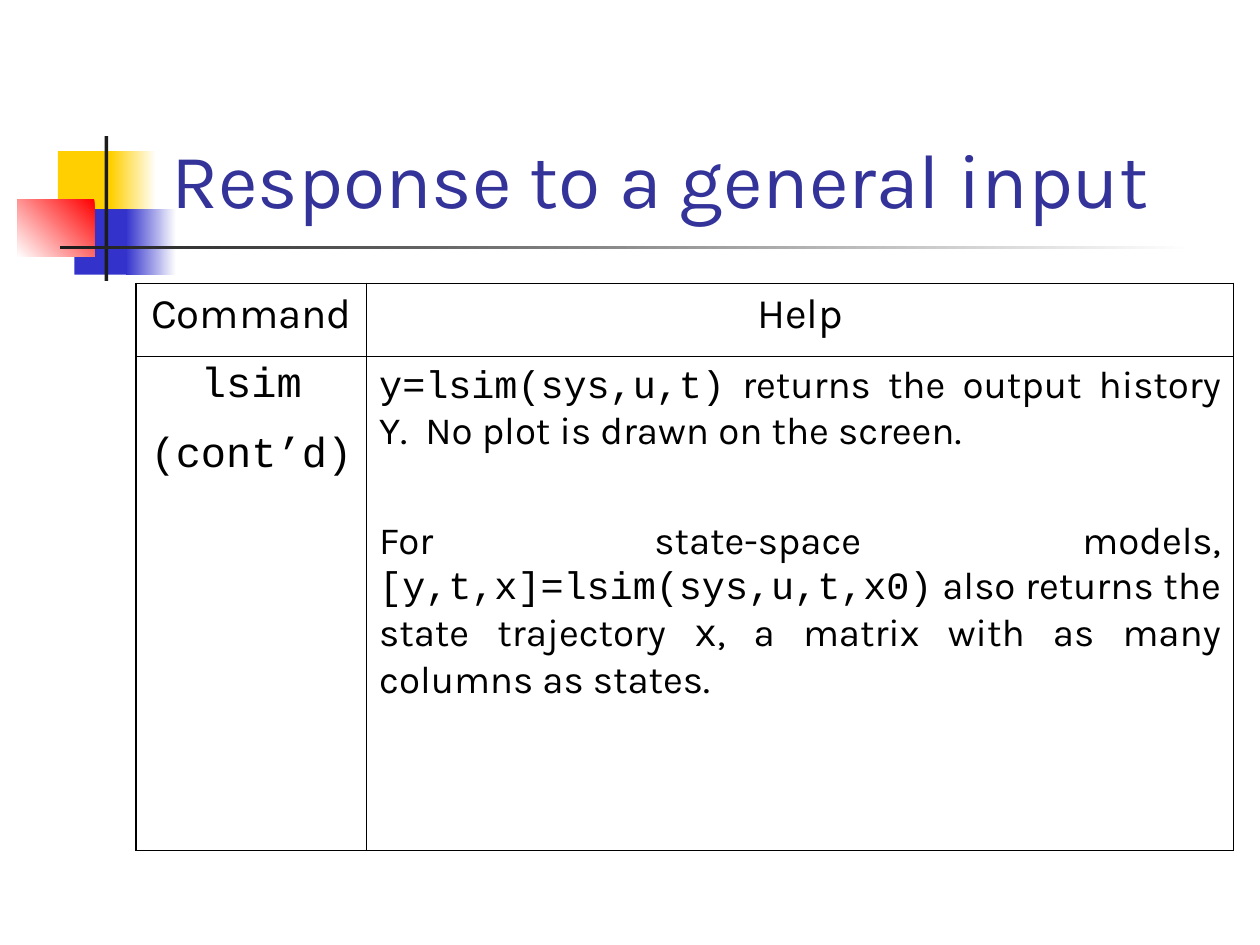
from lxml import etree
from pptx import Presentation
from pptx.dml.color import RGBColor
from pptx.enum import shapes, text
from pptx.oxml.ns import qn
from pptx.util import Inches, Pt

WHITE = RGBColor(0xFF, 0xFF, 0xFF)
BLACK = RGBColor(0x00, 0x00, 0x00)
INK = RGBColor(0x1C, 0x1C, 0x1C)
GOLD = RGBColor(0xFF, 0xCF, 0x01)
BLUE = RGBColor(0x33, 0x33, 0xCC)
NAVY = RGBColor(0x33, 0x33, 0x99)
RED = RGBColor(0xFF, 0x00, 0x00)

SANS, MONO = "Karla", "Courier New"
COLS, ROWS = 100, 75
THICK, THIN = 1.08, 0.45
MID, BOTH = text.PP_ALIGN.CENTER, text.PP_ALIGN.JUSTIFY


class Deck:
    """Holds the style and the current slide; lengths are grid columns and rows."""

    def __init__(self):
        self.prs = Presentation()
        self.prs.slide_width, self.prs.slide_height = Inches(10), Inches(7.5)
        self.slide = self.prs.slides.add_slide(self.prs.slide_layouts[5])

    def x(self, cols):
        return round(self.prs.slide_width * cols / COLS)

    def y(self, rows):
        return round(self.prs.slide_height * rows / ROWS)

    def box(self, area):
        left, top, wide, high = area
        return self.x(left), self.y(top), self.x(wide), self.y(high)

    def run(self, para, words, font, size, color=BLACK):
        run = para.add_run()
        run.text = words
        run.font.name, run.font.size = font, Pt(size)
        run.font.color.rgb = color

    def title(self, area, words):
        head = self.slide.shapes.title
        head.left, head.top, head.width, head.height = self.box(area)
        frame = head.text_frame
        frame.auto_size = text.MSO_AUTO_SIZE.NONE
        frame.word_wrap = True
        frame.vertical_anchor = text.MSO_ANCHOR.BOTTOM
        para = frame.paragraphs[0]
        para.alignment = text.PP_ALIGN.LEFT
        self.run(para, words, SANS, 44, NAVY)

    def block(self, area, color, fade=None, angle=180):
        """A bare rectangle, plain or fading from one colour to another."""
        rect = self.slide.shapes.add_shape(
            shapes.MSO_SHAPE.RECTANGLE, *self.box(area))
        rect.shadow.inherit = False
        rect.line.fill.background()
        if fade is None:
            rect.fill.solid()
            rect.fill.fore_color.rgb = color
            return
        rect.fill.gradient()
        rect.fill.gradient_angle = angle
        for stop, tint in zip(rect.fill.gradient_stops, (color, fade)):
            stop.color.rgb = tint

    def edge(self, cell, side, width):
        line = etree.SubElement(cell._tc.get_or_add_tcPr(), qn("a:ln" + side),
                                w=str(int(Pt(width))))
        fill = etree.SubElement(line, qn("a:solidFill"))
        etree.SubElement(fill, qn("a:srgbClr"), val=str(BLACK))

    def table(self, area, wides, highs, cells):
        grid = self.slide.shapes.add_table(
            len(highs), len(wides), *self.box(area)).table
        grid.first_row = grid.horz_banding = False
        for col, wide in zip(grid.columns, wides):
            col.width = self.x(wide)
        for row, high in zip(grid.rows, highs):
            row.height = self.y(high)
        for r, line in enumerate(cells):
            for c, paras in enumerate(line):
                cell = grid.cell(r, c)
                # Thick lines outside, thin lines inside
                outer = {"L": c == 0, "R": c == len(wides) - 1,
                         "T": r == 0, "B": r == len(highs) - 1}
                for side, out in outer.items():
                    self.edge(cell, side, THICK if out else THIN)
                cell.fill.background()
                self.fill(cell.text_frame, paras)

    def fill(self, frame, paras):
        for i, (align, gap, runs) in enumerate(paras):
            para = frame.add_paragraph() if i else frame.paragraphs[0]
            para.alignment, para.space_before = align, Pt(gap)
            for run in runs:
                self.run(para, *run)


def main():
    deck = Deck()

    # Overlapping colour blocks
    deck.block((4.6, 12, 4.8, 5.2), GOLD)
    deck.block((8.8, 12, 3.6, 5.2), WHITE, GOLD)
    deck.block((5.9, 16.6, 4.6, 5.2), BLUE)
    deck.block((10, 16.6, 4, 5.2), WHITE, BLUE)
    deck.block((1.4, 15.8, 6.1, 4.6), RED, WHITE, 225)

    # Crossing rules
    deck.block((8.3, 10.8, 0.3, 11.5), INK)
    deck.block((4.8, 19.5, 90, 0.3), WHITE, INK)

    deck.title((12.6, 2.3, 85.2, 16), "Response to a general input")

    # Command table
    name = [(MID, 6, [("lsim", MONO, 24)]),
            (MID, 7, [("(cont’d)", MONO, 24), (" ", SANS, 28)])]
    notes = [
        (BOTH, 5.5, [
            ("y=lsim(sys,u,t)", MONO, 22),
            (" returns the output history Y.  No plot is drawn on the screen.",
             SANS, 22)]),
        (BOTH, 37, [
            ("For state-space models, ", SANS, 22),
            ("[y,t,x]=lsim(sys,u,t,x0)", MONO, 22),
            (" also returns the state trajectory ", SANS, 22),
            ("x", MONO, 22),
            (", a matrix with as many columns as states. ", SANS, 22)])]
    heads = [[(MID, 6, [(word, SANS, 24)])] for word in ("Command", "Help")]
    deck.table((10.8, 22.5, 87.1, 45), (18.3, 68.8), (5.8, 39.2),
               [heads, [name, notes]])

    deck.prs.save("out.pptx")


if __name__ == "__main__":
    main()
